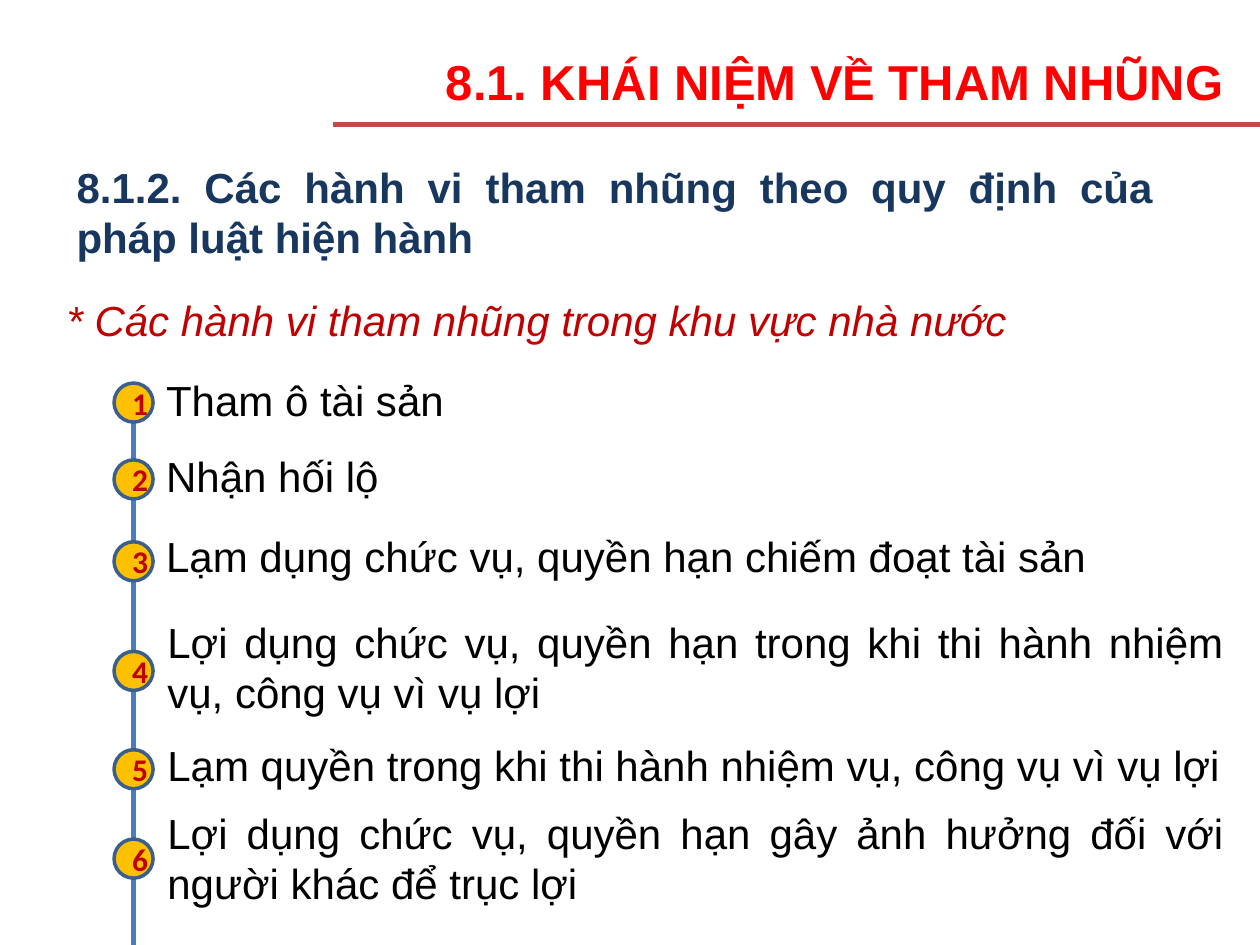
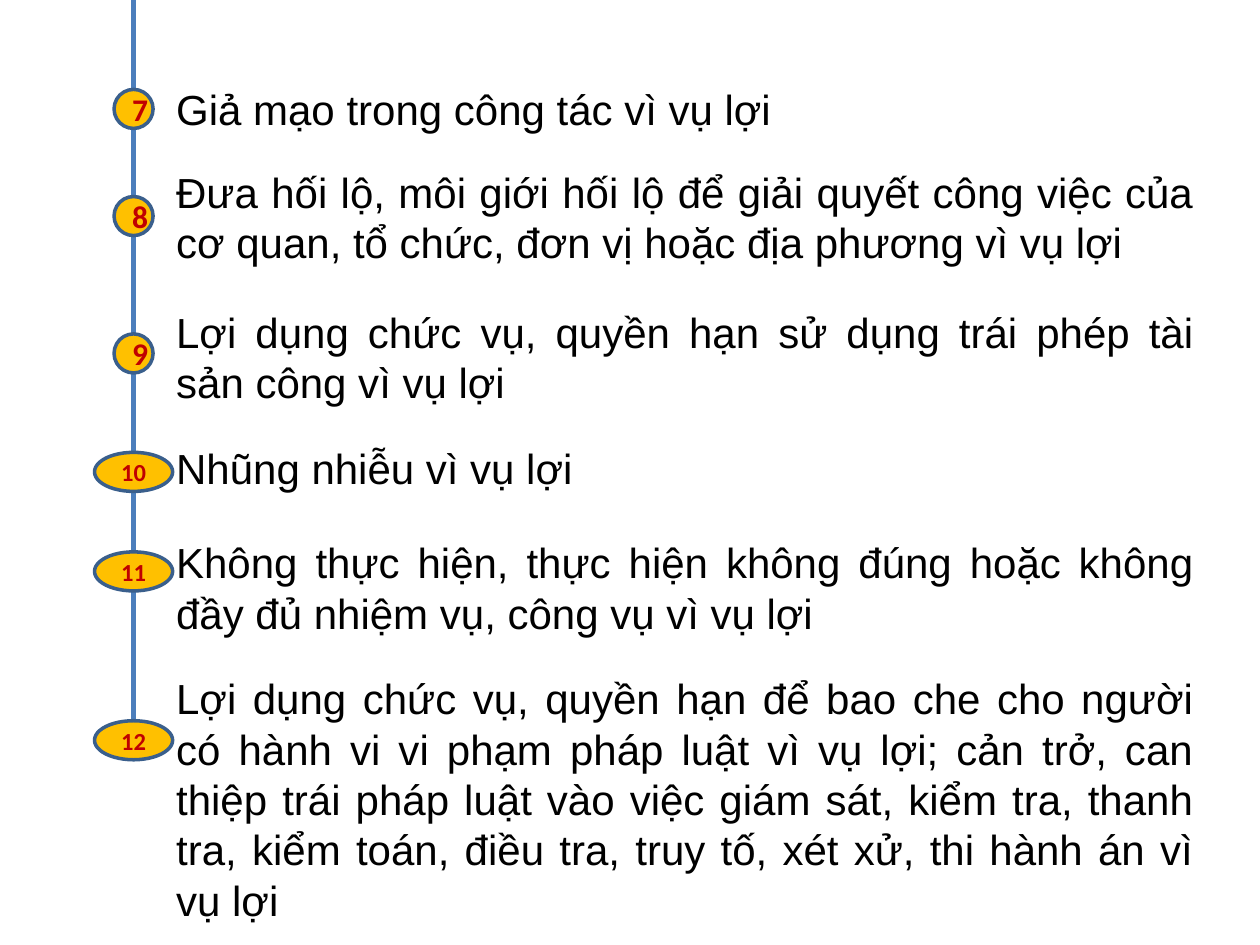
from dataclasses import dataclass

from lxml.etree import SubElement
from pptx import Presentation
from pptx.dml.color import RGBColor
from pptx.enum.shapes import MSO_CONNECTOR, MSO_SHAPE
from pptx.enum.text import MSO_ANCHOR, MSO_AUTO_SIZE, PP_ALIGN
from pptx.oxml.ns import qn
from pptx.util import Inches, Pt


@dataclass(frozen=True)
class Theme:
    title: str = "FF0000"
    title_rule: str = "BF4C48"
    heading: str = "17375E"
    accent: str = "C00000"
    body: str = "000000"
    timeline: str = "4B7EBC"
    marker_fill: str = "FFC000"
    marker_line: str = "3A5F8C"
    text_font: str = "Arial"
    number_font: str = "Calibri"
    title_size: int = 28
    body_size: int = 24
    digit_size: int = 18
    two_digit_size: int = 14


THEME = Theme()
WIDTH, HEIGHT = 10, 7.5
AXIS = 1.06
MARKER = 0.31
LINE_HEIGHT = 0.4
PADDING = 0.1

# Each act: text, left, top, width, line count, marker top, alignment
JUSTIFY, LEFT = PP_ALIGN.JUSTIFY, PP_ALIGN.LEFT
FIRST_ACTS = [
    ("Tham ô tài sản", 1.22, 2.92, 4.1, 1, 3.04, JUSTIFY),
    ("Nhận hối lộ", 1.22, 3.53, 3.22, 1, 3.65, JUSTIFY),
    ("Lạm dụng chức vụ, quyền hạn chiếm đoạt tài sản",
     1.22, 4.16, 8.44, 1, 4.3, JUSTIFY),
    ("Lợi dụng chức vụ, quyền hạn trong khi thi hành nhiệm vụ, công vụ vì vụ lợi",
     1.23, 4.84, 8.58, 2, 5.17, JUSTIFY),
    ("Lạm quyền trong khi thi hành nhiệm vụ, công vụ vì vụ lợi",
     1.23, 5.82, 9.05, 1, 5.95, JUSTIFY),
    ("Lợi dụng chức vụ, quyền hạn gây ảnh hưởng đối với người khác để trục lợi",
     1.23, 6.36, 8.58, 2, 6.66, JUSTIFY),
]
LATER_ACTS = [
    ("Giả mạo trong công tác vì vụ lợi", 1.3, 0.61, 6.35, 1, 0.71, LEFT),
    ("Đưa hối lộ, môi giới hối lộ để giải quyết công việc của cơ quan, "
     "tổ chức, đơn vị hoặc địa phương vì vụ lợi",
     1.3, 1.27, 8.27, 2, 1.56, JUSTIFY),
    ("Lợi dụng chức vụ, quyền hạn sử dụng trái phép tài sản công vì vụ lợi",
     1.3, 2.38, 8.27, 2, 2.65, JUSTIFY),
    ("Nhũng nhiễu vì vụ lợi", 1.3, 3.46, 4.4, 1, 3.59, LEFT),
    ("Không thực hiện, thực hiện không đúng hoặc không đầy đủ nhiệm vụ, "
     "công vụ vì vụ lợi",
     1.3, 4.21, 8.27, 2, 4.38, JUSTIFY),
    ("Lợi dụng chức vụ, quyền hạn để bao che cho người có hành vi vi phạm "
     "pháp luật vì vụ lợi; cản trở, can thiệp trái pháp luật vào việc giám sát, "
     "kiểm tra, thanh tra, kiểm toán, điều tra, truy tố, xét xử, thi hành án vì vụ lợi",
     1.3, 5.29, 8.27, 5, 5.72, JUSTIFY),
]


def color(code):
    return RGBColor.from_string(code)


def write(frame, text, font=THEME.text_font, size=THEME.body_size,
          ink=THEME.body, bold=False, italic=False, align=JUSTIFY):
    paragraph = frame.paragraphs[0]
    paragraph.alignment = align
    run = paragraph.add_run()
    run.text = text
    run.font.name = font
    run.font.size = Pt(size)
    run.font.bold = bold
    run.font.italic = italic
    run.font.color.rgb = color(ink)


def add_text(slide, text, left, top, width, height, wrap=True, **style):
    box = slide.shapes.add_textbox(*map(Inches, (left, top, width, height)))
    box.text_frame.word_wrap = wrap
    box.text_frame.auto_size = MSO_AUTO_SIZE.SHAPE_TO_FIT_TEXT
    write(box.text_frame, text, **style)


def add_line(slide, start, end, ink, weight):
    line = slide.shapes.add_connector(
        MSO_CONNECTOR.STRAIGHT, *map(Inches, (*start, *end)))
    line.line.color.rgb = color(ink)
    line.line.width = Pt(weight)
    SubElement(line._element.spPr, qn("a:effectLst"))


def add_marker(slide, number, top):
    two_digits = number >= 10
    width = MARKER * 2 if two_digits else MARKER
    marker = slide.shapes.add_shape(
        MSO_SHAPE.OVAL,
        *map(Inches, (AXIS - width / 2, top, width, MARKER)))
    marker.shadow.inherit = False
    marker.fill.solid()
    marker.fill.fore_color.rgb = color(THEME.marker_fill)
    marker.line.color.rgb = color(THEME.marker_line)
    marker.line.width = Pt(2)
    marker.text_frame.vertical_anchor = MSO_ANCHOR.MIDDLE
    write(marker.text_frame, str(number), font=THEME.number_font,
          size=THEME.two_digit_size if two_digits else THEME.digit_size,
          ink=THEME.accent, bold=True, align=PP_ALIGN.CENTER)


def add_timeline(slide, acts, first_number, start, end):
    add_line(slide, (AXIS, start), (AXIS, end), THEME.timeline, 2.5)
    for number, act in enumerate(acts, first_number):
        text, left, top, width, lines, marker_top, align = act
        add_marker(slide, number, marker_top)
        add_text(slide, text, left, top, width,
                 PADDING + lines * LINE_HEIGHT, align=align)


def add_headings(slide):
    add_text(slide, "8.1. KHÁI NIỆM VỀ THAM NHŨNG", 3.44, 0.36, 6.44, 0.57,
             wrap=False, size=THEME.title_size, ink=THEME.title,
             bold=True, align=LEFT)
    add_line(slide, (2.64, 0.99), (WIDTH, 0.99), THEME.title_rule, 2.75)
    add_text(slide, "8.1.2. Các hành vi tham nhũng theo quy định của "
             "pháp luật hiện hành", 0.51, 1.23, 8.74, 0.91,
             ink=THEME.heading, bold=True)
    add_text(slide, "* Các hành vi tham nhũng trong khu vực nhà nước",
             0.43, 2.29, 8.74, 0.5, ink=THEME.accent, italic=True)


def main():
    deck = Presentation()
    deck.slide_width, deck.slide_height = Inches(WIDTH), Inches(HEIGHT)
    blank = deck.slide_layouts[6]

    opening = deck.slides.add_slide(blank)
    add_headings(opening)
    add_timeline(opening, FIRST_ACTS, 1, 3.17, HEIGHT)

    continuation = deck.slides.add_slide(blank)
    add_timeline(continuation, LATER_ACTS, len(FIRST_ACTS) + 1, 0, 5.88)

    deck.save("out.pptx")


main()
